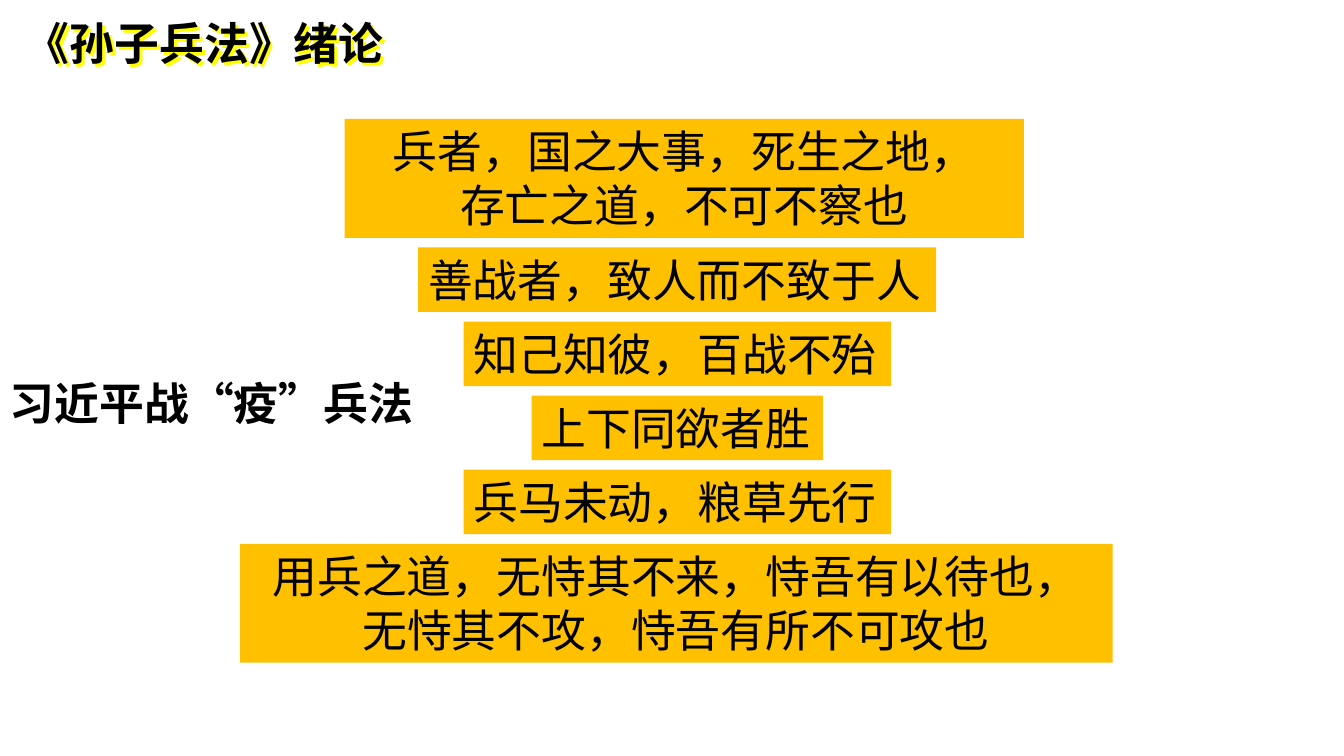
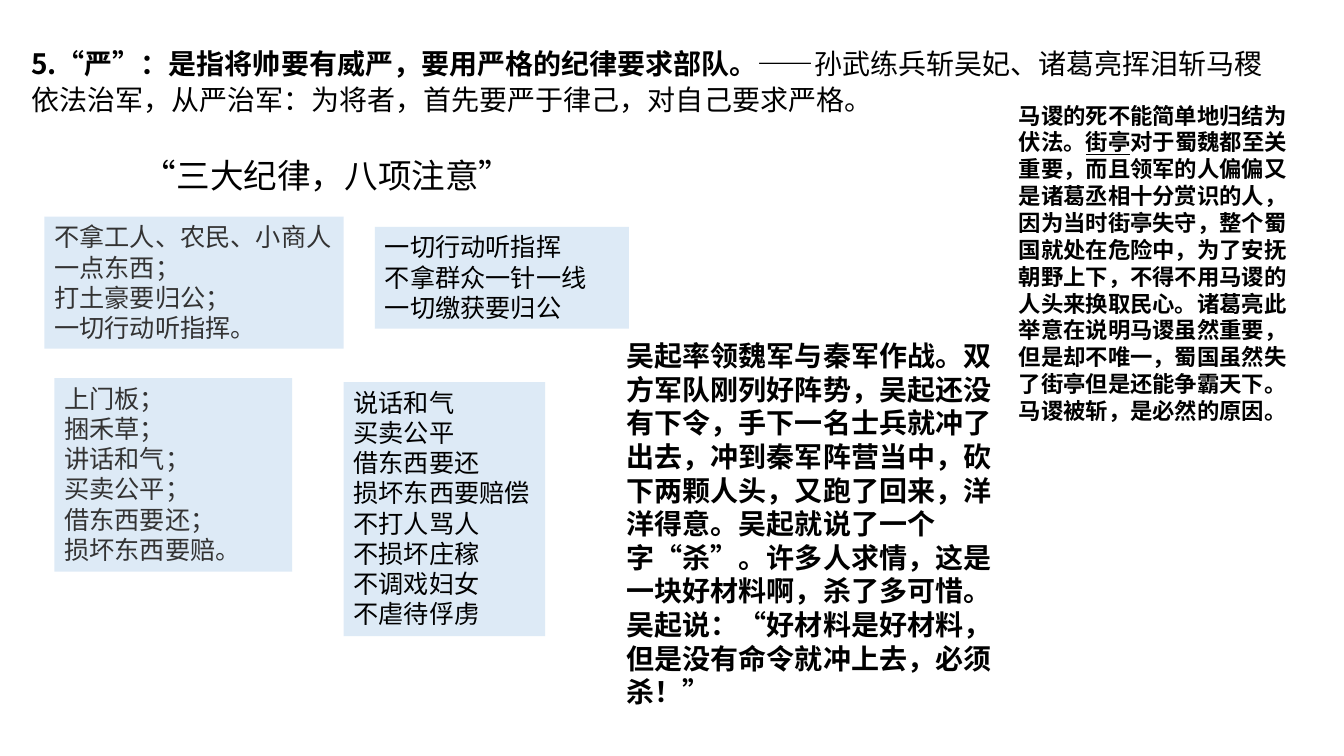
from lxml import etree
from pptx import Presentation, util as u
from pptx.dml.color import RGBColor
from pptx.enum import shapes, text
from pptx.oxml import ns

PX = 4572
COLORS = {"ink": "000000", "grey": "333333", "gold": "FFC000", "sky": "BDD7EE", "glow": "FFFF00"}
SC, JP, TIMES = "Noto Sans CJK SC", "Noto Sans CJK JP", "Times New Roman"


class Deck:
    """Holds the style and the current slide, and draws each kind of element."""

    def __init__(self, width, height):
        self.prs = Presentation()
        self.prs.slide_width, self.prs.slide_height = width * PX, height * PX

    def slide(self):
        self.s = self.prs.slides.add_slide(self.prs.slide_layouts[6])

    def sub(self, parent, tag, **attrs):
        return etree.SubElement(parent, ns.qn(tag), **attrs)

    def add_run(self, p, content, size, face, color, **fmt):
        r = p.add_run()
        r.text = content
        r.font.color.rgb = RGBColor.from_string(COLORS[color])
        for key, value in {"size": u.Pt(size), "name": face, **fmt}.items():
            setattr(r.font, key, value)
        self.sub(r._r.get_or_add_rPr(), "a:ea", typeface=JP if face == JP else SC)

    def add_text(self, sp, paras, size, face=SC, color="ink", wrap=True, center=False, leading=1.2, **fmt):
        tf = sp.text_frame
        frame = {"word_wrap": wrap, "vertical_anchor": text.MSO_ANCHOR.TOP,
                 "auto_size": text.MSO_AUTO_SIZE.SHAPE_TO_FIT_TEXT}
        for key, value in frame.items():
            setattr(tf, key, value)
        for i, runs in enumerate(paras):
            p = tf.add_paragraph() if i else tf.paragraphs[0]
            p.alignment = text.PP_ALIGN.CENTER if center else text.PP_ALIGN.LEFT
            p.line_spacing = u.Pt(round(size * leading, 1))
            for content, extra in [(runs, {})] if isinstance(runs, str) else runs:
                self.add_run(p, content, size, face, color, **{**fmt, **extra})
        return sp

    def label(self, box, paras, size, **fmt):
        sp = self.s.shapes.add_textbox(*(v * PX for v in box))
        return self.add_text(sp, paras, size, **fmt)

    def panel(self, box, paras, size, fill, alpha=100, **fmt):
        sp = self.s.shapes.add_shape(shapes.MSO_SHAPE.RECTANGLE, *(v * PX for v in box))
        sp.shadow.inherit = False
        sp.fill.solid()
        sp.fill.fore_color.rgb = RGBColor.from_string(COLORS[fill])
        sp.line.fill.background()
        if alpha < 100:
            clr = sp._element.spPr.find(".//" + ns.qn("a:srgbClr"))
            self.sub(clr, "a:alpha", val=str(alpha * 1000))
        return self.add_text(sp, paras, size, **fmt)

    def title(self, box, content):
        sp = self.label(box, [content], 32, bold=True)
        effects = self.sub(sp._element.spPr, "a:effectLst")
        shadow = self.sub(effects, "a:outerShdw", dist="36000", dir="2700000", algn="ctr", rotWithShape="0")
        self.sub(shadow, "a:srgbClr", val=COLORS["glow"])


def maxims(d):
    d.slide()
    d.label((0, 736, 848, 128), ["习近平战“疫”兵法"], 32, wrap=False, bold=True)
    quotes = [
        (1358, 1348, ["兵者，国之大事，死生之地，", "存亡之道，不可不察也"]),
        (1344, 1028, ["善战者，致人而不致于人"]),
        (1344, 848, ["知己知彼，百战不殆"]),
        (1344, 578, ["上下同欲者胜"]),
        (1344, 848, ["兵马未动，粮草先行"]),
        (1342, 1732, ["用兵之道，无恃其不来，恃吾有以待也，", "无恃其不攻，恃吾有所不可攻也"]),
    ]
    top, gap = 236, 19
    for middle, width, lines in quotes:
        height = 20 + 108 * len(lines)
        several = len(lines) > 1
        d.panel((middle - width // 2, top, width, height), lines, 32, "gold",
                face=JP, wrap=several, center=several)
        top += height + gap
    d.title((30, 22, 2000, 128), "《孙子兵法》绪论")


def discipline(d):
    d.slide()
    d.label((42, 78, 2586, 430), [
        [("5.“严”：是指将帅要有威严，要用严格的纪律要求部队。——", {"bold": True}),
         ("孙武练兵斩吴妃、诸葛亮挥泪斩马稷", {})],
        "依法治军，从严治军：为将者，首先要严于律己，对自己要求严格。"], 20, leading=1.29)
    d.label((264, 298, 780, 100), ["“三大纪律，八项注意”"], 24, face=TIMES, wrap=False)
    rules = [
        ((108, 750, 472, 384), "grey",
         ["上门板；", "捆禾草；", "讲话和气；", "买卖公平；", "借东西要还；", "损坏东西要赔。"]),
        ((744, 450, 504, 202), "ink", ["一切行动听指挥", "不拿群众一针一线", "一切缴获要归公"]),
        ((88, 430, 594, 262), "grey",
         ["不拿工人、农民、小商人一点东西；", "打土豪要归公；", "一切行动听指挥。"]),
        ((682, 758, 400, 504), "ink",
         ["说话和气", "买卖公平", "借东西要还", "损坏东西要赔偿",
          "不打人骂人", "不损坏庄稼", "不调戏妇女", "不虐待俘虏"]),
    ]
    for box, color, lines in rules:
        d.panel(box, lines, 18, "sky", alpha=50, color=color)
    d.label((2002, 192, 604, 666), [[
        ("马谡的死不能简单地归结为伏法。", {}),
        ("街亭", {"underline": True}),
        ("对于蜀魏都至关重要，而且领军的人偏偏又是诸葛丞相十分赏识的人，因为当时街亭失守，"
         "整个蜀国就处在危险中，为了安抚朝野上下，不得不用马谡的人头来换取民心。"
         "诸葛亮此举意在说明马谡虽然重要，但是却不唯一，蜀国虽然失了街亭但是还能争霸天下。"
         "马谡被斩，是必然的原因。", {})]], 16, bold=True)
    d.label((1224, 662, 816, 760), [
        "吴起率领魏军与秦军作战。双方军队刚列好阵势，吴起还没有下令，手下一名士兵就冲了出去，"
        "冲到秦军阵营当中，砍下两颗人头，又跑了回来，洋洋得意。吴起就说了一个字“杀”。"
        "许多人求情，这是一块好材料啊，杀了多可惜。吴起说：“好材料是好材料，"
        "但是没有命令就冲上去，必须杀！”"], 20, face=TIMES, bold=True)


def main():
    d = Deck(2667, 1500)
    maxims(d)
    discipline(d)
    d.prs.save("out.pptx")


if __name__ == "__main__":
    main()
